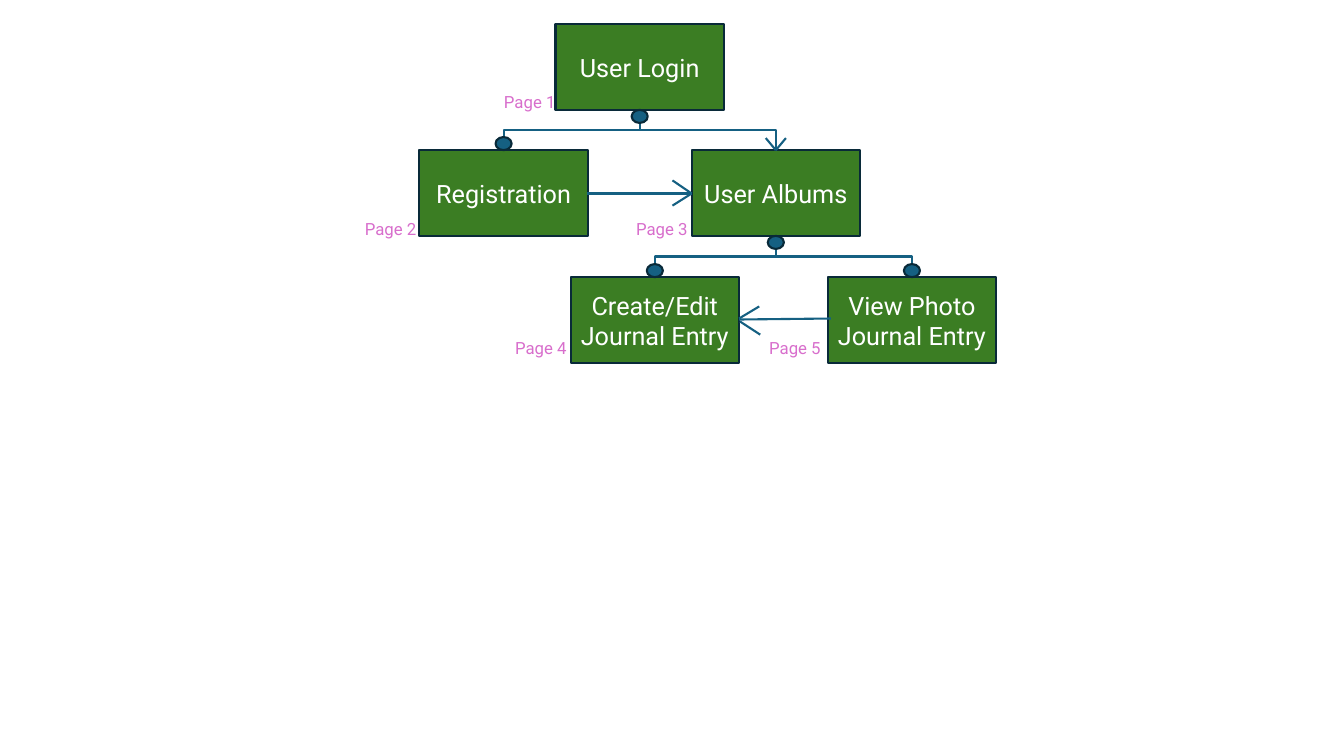
import pptx
import pptx.dml.color
import pptx.enum.shapes
import pptx.enum.text
import pptx.util

PX = 9144
BOX_W, BOX_H = 167, 85
DOT_W, DOT_H = 16, 13
GREEN, NAVY, TEAL, PINK, WHITE = "3B7D23", "092A39", "156082", "D86ECC", "FFFFFF"
FONT = "Roboto"
SHAPE = pptx.enum.shapes.MSO_SHAPE
CONNECTOR = pptx.enum.shapes.MSO_CONNECTOR

# name: left, top, page label's left, page label's top
PAGES = {
    "User Login": (551, 24, 490, 86),
    "Registration": (416, 149, 352, 212),
    "User Albums": (686, 149, 621, 212),
    "Create/Edit Journal Entry": (566, 275, 501, 330),
    "View Photo Journal Entry": (821, 275, 753, 330),
}
LOGIN, REGISTRATION, ALBUMS, EDIT, VIEW = PAGES


def px(*lengths):
    """Turn px lengths into EMU."""
    return [round(length * PX) for length in lengths]


def color(hex_code):
    """Turn a hex string into a colour."""
    return pptx.dml.color.RGBColor.from_string(hex_code)


def top_centre(page):
    """Return the middle of a page box's upper edge."""
    left, top = PAGES[page][:2]
    return left + BOX_W / 2, top


def bottom_centre(page):
    """Return the middle of a page box's lower edge."""
    x, top = top_centre(page)
    return x, top + BOX_H


def style_text(frame, text, size, hex_code, align):
    """Write one paragraph in the slide's font."""
    frame.word_wrap = True
    paragraph = frame.paragraphs[0]
    paragraph.text = text
    paragraph.alignment = align
    paragraph.font.name = FONT
    paragraph.font.size = pptx.util.Pt(size)
    paragraph.font.color.rgb = color(hex_code)


def add_outlined(slide, kind, box, fill):
    """Add a filled shape with the dark outline."""
    shape = slide.shapes.add_shape(kind, *px(*box))
    shape.shadow.inherit = False
    shape.fill.solid()
    shape.fill.fore_color.rgb = color(fill)
    shape.line.color.rgb = color(NAVY)
    shape.line.width = pptx.util.Pt(1.5)
    return shape


def add_page(slide, name):
    """Add the box of one page."""
    left, top = PAGES[name][:2]
    box = add_outlined(slide, SHAPE.RECTANGLE, (left, top, BOX_W, BOX_H), GREEN)
    frame = box.text_frame
    frame.margin_left, frame.margin_right = px(6, 6)
    frame.vertical_anchor = pptx.enum.text.MSO_ANCHOR.MIDDLE
    style_text(frame, name, 18, WHITE, pptx.enum.text.PP_ALIGN.CENTER)


def add_page_label(slide, number, name):
    """Add the page number beside a box."""
    label = slide.shapes.add_textbox(*px(*PAGES[name][2:], 118, 30))
    style_text(label.text_frame, f"Page {number}", 12, PINK, pptx.enum.text.PP_ALIGN.LEFT)


def add_line(slide, start, end, kind=CONNECTOR.STRAIGHT):
    """Add a teal connector between two points."""
    line = slide.shapes.add_connector(kind, *px(*start, *end))
    line.line.color.rgb = color(TEAL)
    line.line.width = pptx.util.Pt(1.5)
    properties = line._element.spPr
    properties.append(properties.makeelement(pptx.oxml.ns.qn("a:effectLst"), {}))
    return line


def add_branch(slide, parent, child):
    """Join a parent to a child below with an elbow turned to leave downwards."""
    (x1, y1), (x2, y2) = bottom_centre(parent), top_centre(child)
    mid_x, mid_y = (x1 + x2) / 2, (y1 + y2) / 2
    side = 1 if x2 > x1 else -1
    reach, drop = abs(x2 - x1) / 2, side * (y2 - y1) / 2
    elbow = add_line(slide, (mid_x + drop, mid_y - reach),
                     (mid_x - drop, mid_y + reach), CONNECTOR.ELBOW)
    elbow._element.spPr.xfrm.set("rot", "16200000" if side > 0 else "5400000")


def add_dot(slide, centre_x, top):
    """Add a branch-end dot."""
    add_outlined(slide, SHAPE.OVAL, (centre_x - DOT_W / 2, top, DOT_W, DOT_H), TEAL)


def add_site_map(slide):
    """Draw the pages, their branches, arrows and labels."""
    for name in PAGES:
        add_page(slide, name)
    for parent, children in ((LOGIN, (REGISTRATION, ALBUMS)), (ALBUMS, (EDIT, VIEW))):
        for child in children:
            add_branch(slide, parent, child)
    for parent in (LOGIN, ALBUMS):
        add_dot(slide, *bottom_centre(parent))
    for child in (REGISTRATION, EDIT, VIEW):
        x, top = top_centre(child)
        add_dot(slide, x, top - DOT_H)
    for number, name in enumerate(PAGES, 1):
        add_page_label(slide, number, name)
    albums_x, albums_top = top_centre(ALBUMS)
    for start, end in (
        ((albums_x - 10, albums_top - 12), (albums_x, albums_top)),
        ((albums_x, albums_top), (albums_x + 10, albums_top - 12)),
        ((582, 192), (686, 192)),
        ((686, 192), (667, 179)),
        ((686, 192), (667, 204)),
        ((733, 317), (824, 316)),
        ((753, 304), (733, 316)),
        ((754, 332), (734, 319)),
    ):
        add_line(slide, start, end)


def main():
    """Build and save the slide."""
    deck = pptx.Presentation()
    deck.slide_width, deck.slide_height = px(1333, 750)
    add_site_map(deck.slides.add_slide(deck.slide_layouts[6]))
    deck.save("out.pptx")


if __name__ == "__main__":
    main()
